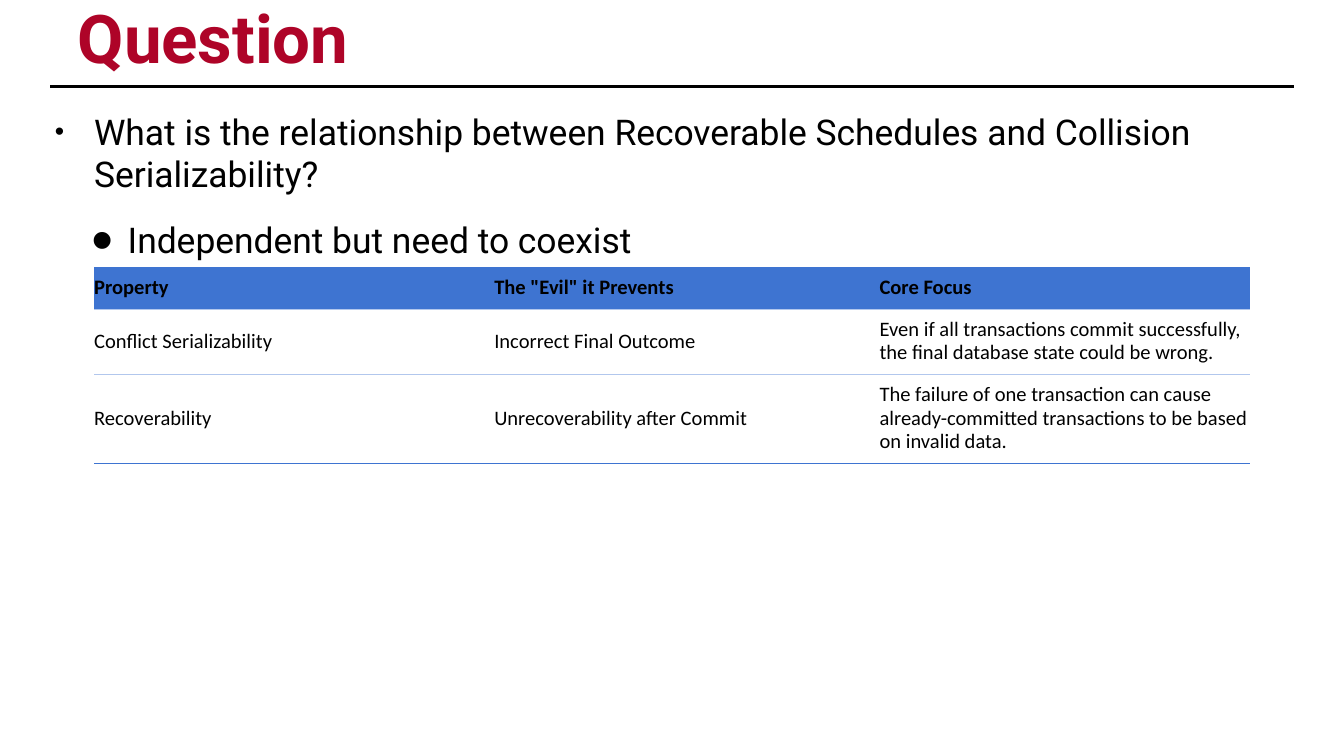
from dataclasses import dataclass

import pptx
import pptx.dml.color
import pptx.enum.shapes
import pptx.enum.text
import pptx.oxml.ns
import pptx.util
from lxml import etree

Pt = pptx.util.Pt
RGBColor = pptx.dml.color.RGBColor
MIDDLE = pptx.enum.text.MSO_ANCHOR.MIDDLE
qn = pptx.oxml.ns.qn

BLACK = RGBColor(0x00, 0x00, 0x00)
WHITE = RGBColor(0xFF, 0xFF, 0xFF)
RED = RGBColor(0xAE, 0x04, 0x28)
BLUE = RGBColor(0x3E, 0x74, 0xD1)
PALE_BLUE = RGBColor(0xB2, 0xC7, 0xED)
NO_STYLE = "{2D5ABB26-0587-4C30-8999-92F81FD0307C}"


@dataclass
class Bullet:
    text: str
    level: int
    indent: float
    hang: float
    size_pct: int


@dataclass
class Row:
    cells: tuple[str, str, str]
    height: float
    fill: RGBColor = WHITE
    bold: bool = False
    top: RGBColor | None = None
    bottom: RGBColor | None = None


BULLETS = [
    Bullet("What is the relationship between Recoverable Schedules and "
           "Collision Serializability?", 0, 21, 21, 75),
    Bullet("Independent but need to coexist", 1, 39, 19.5, 175),
]
ROWS = [
    Row(("Property", 'The "Evil" it Prevents', "Core Focus"), 22.5, BLUE, True),
    Row(("Conflict Serializability", "Incorrect Final Outcome",
         "Even if all transactions commit successfully, "
         "the final database state could be wrong."),
        35, top=PALE_BLUE, bottom=PALE_BLUE),
    Row(("Recoverability", "Unrecoverability after Commit",
         "The failure of one transaction can cause already-committed "
         "transactions to be based on invalid data."),
        47.5, top=PALE_BLUE, bottom=BLUE),
]


def write(p, text: str, *, size: float, font: str, color: RGBColor = BLACK,
          bold: bool = False, spacing=None, before: float | None = None) -> None:
    r = p.add_run()
    r.text = text
    r.font.size, r.font.name, r.font.bold = Pt(size), font, bold
    r.font.color.rgb = color
    if spacing is not None:
        p.line_spacing = spacing
    if before is not None:
        p.space_before = Pt(before)


def add_box(s, x: float, y: float, w: float, h: float):
    tf = s.shapes.add_textbox(Pt(x), Pt(y), Pt(w), Pt(h)).text_frame
    tf.word_wrap = True
    tf.margin_left = tf.margin_right = tf.margin_top = tf.margin_bottom = Pt(2)
    return tf


def add_bullet(p, b: Bullet) -> None:
    p.level = b.level
    write(p, b.text, size=19, font="Roboto", before=12.5)
    pPr = p._p.get_or_add_pPr()
    pPr.set("marL", str(Pt(b.indent)))
    pPr.set("indent", str(-Pt(b.hang)))
    etree.SubElement(pPr, qn("a:buSzPct"), val=str(b.size_pct * 1000))
    etree.SubElement(pPr, qn("a:buFont"), typeface="Arial")
    etree.SubElement(pPr, qn("a:buChar"), char="•")


def add_border(cell, tag: str, color: RGBColor) -> None:
    ln = etree.SubElement(cell._tc.get_or_add_tcPr(), qn(tag), w=str(Pt(0.75)))
    fill = etree.SubElement(ln, qn("a:solidFill"))
    etree.SubElement(fill, qn("a:srgbClr"), val=str(color))


def fill_row(tbl, i: int, row: Row) -> None:
    tbl.rows[i].height = Pt(row.height)
    last = len(row.cells) - 1
    for j, text in enumerate(row.cells):
        cell = tbl.cell(i, j)
        cell.vertical_anchor = MIDDLE
        cell.margin_left = Pt(0 if j == 0 else 8)
        cell.margin_right = Pt(0 if j == last and i > 0 else 8)
        cell.margin_top = cell.margin_bottom = Pt(5)
        for tag, color in (("a:lnT", row.top), ("a:lnB", row.bottom)):
            if color is not None:
                add_border(cell, tag, color)
        cell.fill.solid()
        cell.fill.fore_color.rgb = row.fill
        write(cell.text_frame.paragraphs[0], text, size=11, font="Calibri",
              bold=row.bold, spacing=Pt(12.5))


def main() -> None:
    prs = pptx.Presentation()
    prs.slide_width, prs.slide_height = Pt(720), Pt(405)
    s = prs.slides.add_slide(prs.slide_layouts[6])

    # Rule under the title
    rule = s.shapes.add_connector(pptx.enum.shapes.MSO_CONNECTOR.STRAIGHT,
                                  Pt(27), Pt(46.3), Pt(693), Pt(46.3))
    rule.line.color.rgb = BLACK
    rule.line.width = Pt(2)
    etree.SubElement(rule._element.spPr, qn("a:effectLst"))

    # Title
    tf = add_box(s, 39.6, 7.2, 641.5, 35.3)
    tf.vertical_anchor = MIDDLE
    write(tf.paragraphs[0], "Question", size=36, font="Roboto", color=RED,
          bold=True, spacing=0.7)

    # Question and answer
    tf = add_box(s, 27.4, 56.9, 665.3, 319)
    for i, b in enumerate(BULLETS):
        add_bullet(tf.add_paragraph() if i else tf.paragraphs[0], b)

    # Comparison table
    tbl = s.shapes.add_table(len(ROWS), 3, Pt(50.4), Pt(143.3), Pt(619.2),
                             Pt(sum(row.height for row in ROWS))).table
    tbl.horz_banding = False
    tbl._tbl.tblPr.find(qn("a:tableStyleId")).text = NO_STYLE
    for i, row in enumerate(ROWS):
        fill_row(tbl, i, row)

    prs.save("out.pptx")


if __name__ == "__main__":
    main()
